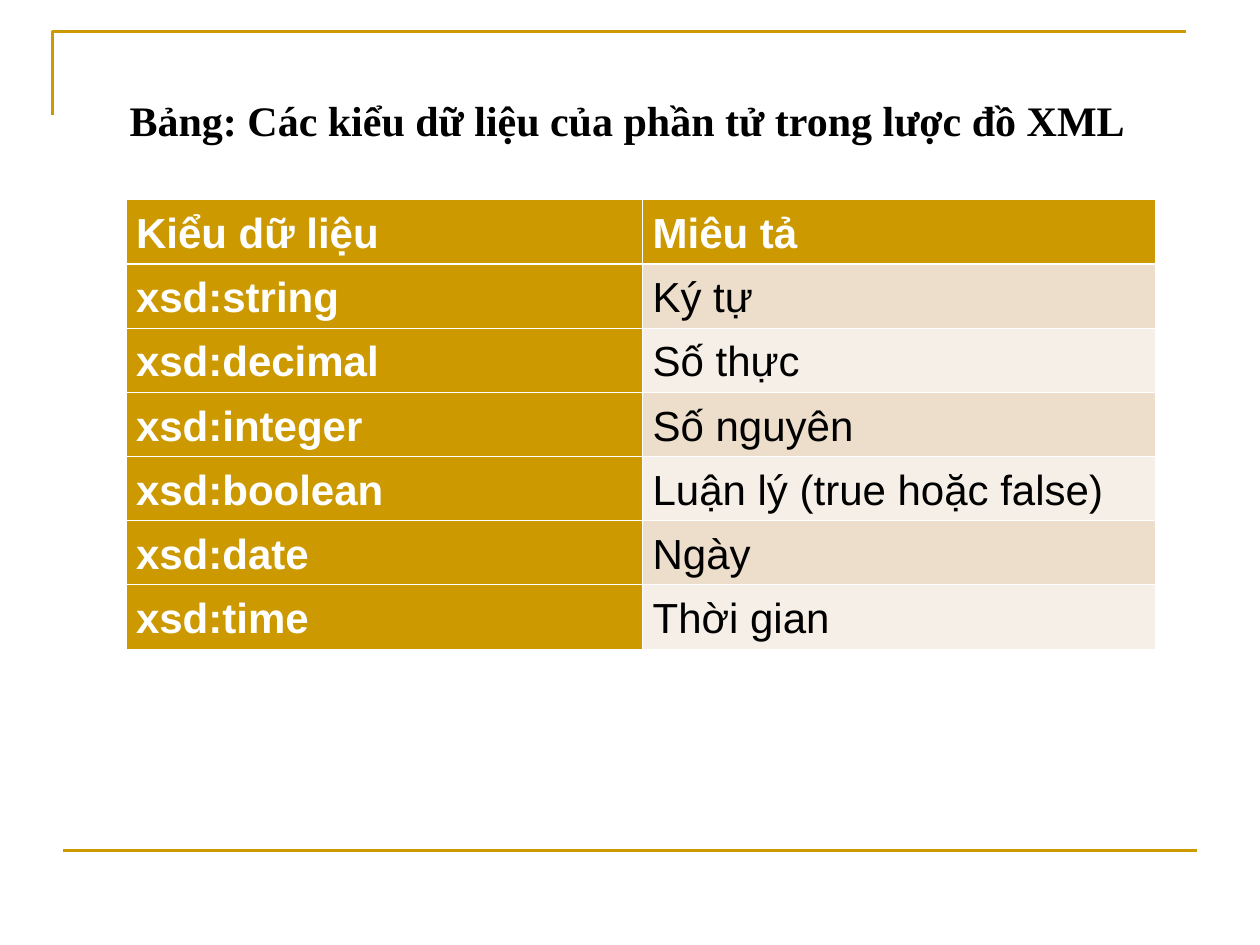
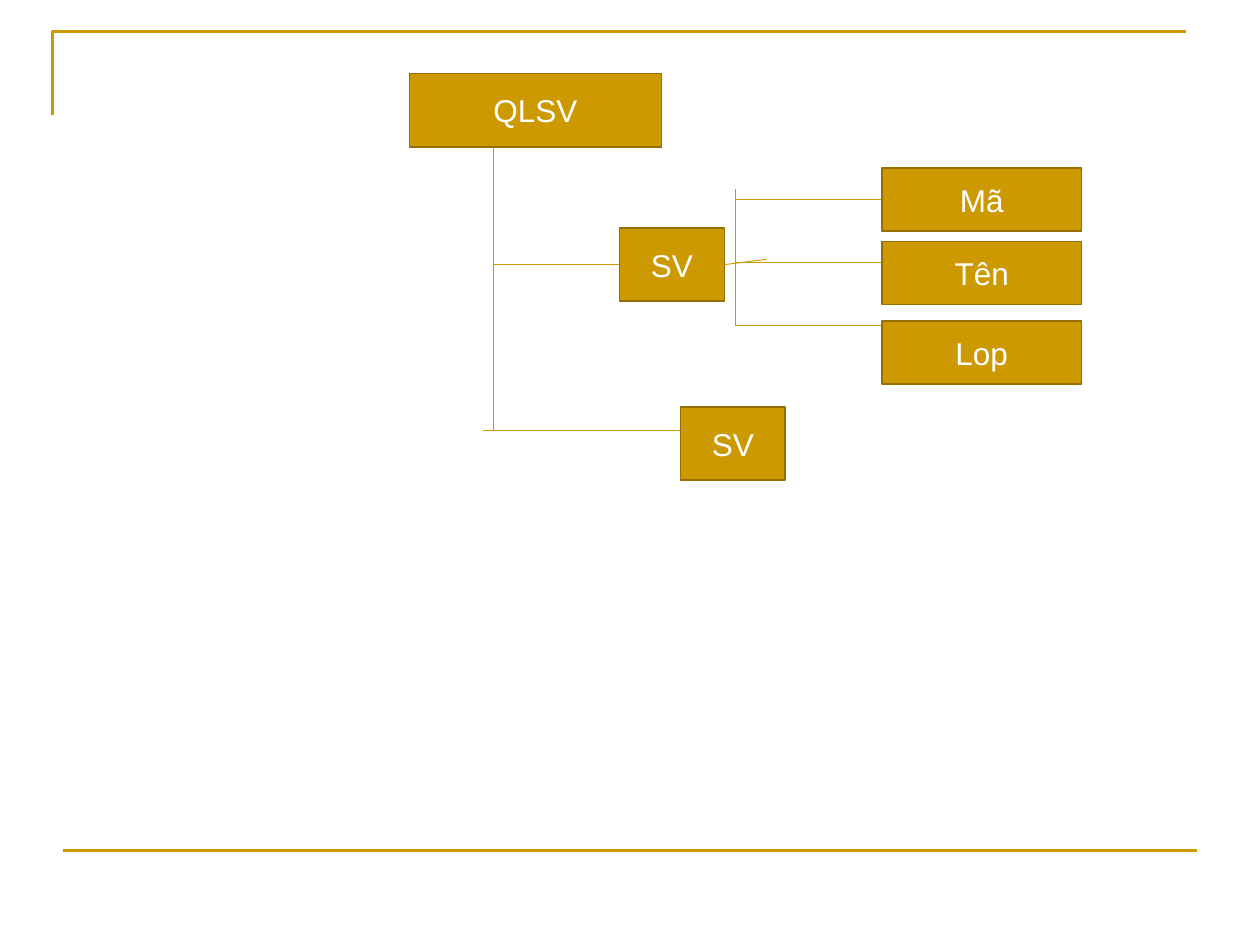
import pptx
import pptx.util
import pptx.dml.color
import pptx.enum.shapes
import pptx.enum.text
import pptx.oxml.ns
import lxml.etree

COLORS = {
    "gold": "CC9900",
    "edge": "956F00",
    "white": "FFFFFF",
    "black": "000000",
    "band_dark": "ECDECB",
    "band_light": "F6EFE7",
}
SLIDE_W, SLIDE_H = 10, 7.5
COLS, ROWS = 120, 90
FRAME_BOX = (5, 3, 109, 78)
TITLE_BOX = (5.5, 8.4, 108.5, 6)
TABLE_BOX = (12, 19, 98, 42.8)
TREE_BOX = (39, 7, 64, 39)

TITLE = "Bảng: Các kiểu dữ liệu của phần tử trong lược đồ XML"
TYPES = [
    ("Kiểu dữ liệu", "Miêu tả"),
    ("xsd:string", "Ký tự"),
    ("xsd:decimal", "Số thực"),
    ("xsd:integer", "Số nguyên"),
    ("xsd:boolean", "Luận lý (true hoặc false)"),
    ("xsd:date", "Ngày"),
    ("xsd:time", "Thời gian"),
]

ALIGN = pptx.enum.text.PP_ALIGN


def gx(col):
    return pptx.util.Inches(col * SLIDE_W / COLS)


def gy(row):
    return pptx.util.Inches(row * SLIDE_H / ROWS)


def place(box):
    x, y, w, h = box
    return gx(x), gy(y), gx(w), gy(h)


def rgb(name):
    return pptx.dml.color.RGBColor.from_string(COLORS[name])


def set_fill(sp, name):
    sp.fill.solid()
    sp.fill.fore_color.rgb = rgb(name)


def set_line(sp, name, width):
    sp.line.color.rgb = rgb(name)
    sp.line.width = pptx.util.Pt(width)


def add_run(p, text, size, color, align, font="Arial", bold=False):
    p.alignment = align
    r = p.add_run()
    r.text = text
    r.font.name = font
    r.font.size = pptx.util.Pt(size)
    r.font.bold = bold
    r.font.color.rgb = rgb(color)


def add_line(slide, x1, y1, x2, y2, width=0.5):
    line = slide.shapes.add_connector(
        pptx.enum.shapes.MSO_CONNECTOR.STRAIGHT, gx(x1), gy(y1), gx(x2), gy(y2))
    set_line(line, "gold", width)
    lxml.etree.SubElement(line._element.spPr, pptx.oxml.ns.qn("a:effectLst"))


def add_node(slide, box, text):
    sp = slide.shapes.add_shape(pptx.enum.shapes.MSO_SHAPE.RECTANGLE, *place(box))
    sp.shadow.inherit = False
    set_fill(sp, "gold")
    set_line(sp, "edge", 1)
    tf = sp.text_frame
    tf.word_wrap = True
    tf.vertical_anchor = pptx.enum.text.MSO_ANCHOR.MIDDLE
    add_run(tf.paragraphs[0], text, 18, "white", ALIGN.CENTER)


def add_frame(slide, box):
    x, y, w, h = box
    fb = slide.shapes.build_freeform(gx(x), gy(y + 8))
    fb.add_line_segments([(gx(x), gy(y)), (gx(x + w - 1), gy(y))], close=False)
    sp = fb.convert_to_shape()
    sp.shadow.inherit = False
    sp.fill.background()
    set_line(sp, "gold", 1.5)
    add_line(slide, x + 1, y + h, x + w, y + h, 1.5)


def add_title(slide, box, text):
    tf = slide.shapes.add_textbox(*place(box)).text_frame
    tf.word_wrap = True
    tf.vertical_anchor = pptx.enum.text.MSO_ANCHOR.MIDDLE
    add_run(tf.paragraphs[0], text, 24, "black", ALIGN.CENTER, "Times New Roman", True)


def set_borders(cell, widths):
    tc_pr = cell._tc.get_or_add_tcPr()
    for side, width in widths.items():
        ln = lxml.etree.SubElement(
            tc_pr, pptx.oxml.ns.qn("a:ln" + side), w=str(pptx.util.Pt(width)))
        fill = lxml.etree.SubElement(ln, pptx.oxml.ns.qn("a:solidFill"))
        lxml.etree.SubElement(fill, pptx.oxml.ns.qn("a:srgbClr"), val=COLORS["white"])


def add_type_table(slide, box, rows):
    w, h = box[2:]
    table = slide.shapes.add_table(len(rows), 2, *place(box)).table
    table.first_row = table.horz_banding = False
    for col, share in zip(table.columns, (0.502, 0.498)):
        col.width = gx(w * share)
    for i, row in enumerate(rows):
        table.rows[i].height = gy(h / len(rows))
        for j, text in enumerate(row):
            cell = table.cell(i, j)
            cell.margin_left = cell.margin_right = pptx.util.Inches(0.08)
            cell.margin_top = cell.margin_bottom = pptx.util.Inches(0.05)
            head = i == 0 or j == 0
            set_borders(cell, {"L": 0.45, "R": 0.45,
                               "T": 1.47 if i == 1 else 0.45,
                               "B": 1.47 if i == 0 else 0.45})
            set_fill(cell, "gold" if head else "band_dark" if i % 2 else "band_light")
            p = cell.text_frame.paragraphs[0]
            p.line_spacing = 1.1
            p.space_after = pptx.util.Pt(2)
            add_run(p, text, 24, "white" if head else "black", ALIGN.JUSTIFY, bold=head)


def add_tree(slide, box):
    x, y = box[:2]
    trunk, fork, leaf = x + 8, x + 31, x + 45
    sv_x, sv_y, sv_w, node_h = x + 20, y + 14.7, 10, 7
    sv_mid = sv_y + node_h / 2
    add_node(slide, (x, y, 24, node_h), "QLSV")
    add_line(slide, trunk, y + node_h, trunk, y + 34)
    add_line(slide, trunk, sv_mid, sv_x, sv_mid)
    add_line(slide, trunk - 1, y + 34, x + 26, y + 34)
    add_line(slide, fork, y + 11, fork, y + 24)
    for i, (text, top) in enumerate((("Mã", 9), ("Tên", 16), ("Lop", 23.6))):
        branch = y + 12 + 6 * i
        add_line(slide, fork, branch, leaf, branch)
        add_node(slide, (leaf, y + top, 19, 6), text)
    add_node(slide, (sv_x, sv_y, sv_w, node_h), "SV")
    add_line(slide, sv_x + sv_w, sv_mid, fork + 3, sv_mid - 0.5)
    add_node(slide, (x + 25.8, y + 31.75, sv_w, node_h), "SV")


def new_slide(prs):
    slide = prs.slides.add_slide(prs.slide_layouts[6])
    add_frame(slide, FRAME_BOX)
    return slide


def main():
    prs = pptx.Presentation()
    prs.slide_width = pptx.util.Inches(SLIDE_W)
    prs.slide_height = pptx.util.Inches(SLIDE_H)

    slide = new_slide(prs)
    add_type_table(slide, TABLE_BOX, TYPES)
    add_title(slide, TITLE_BOX, TITLE)

    add_tree(new_slide(prs), TREE_BOX)
    prs.save("out.pptx")


if __name__ == "__main__":
    main()
